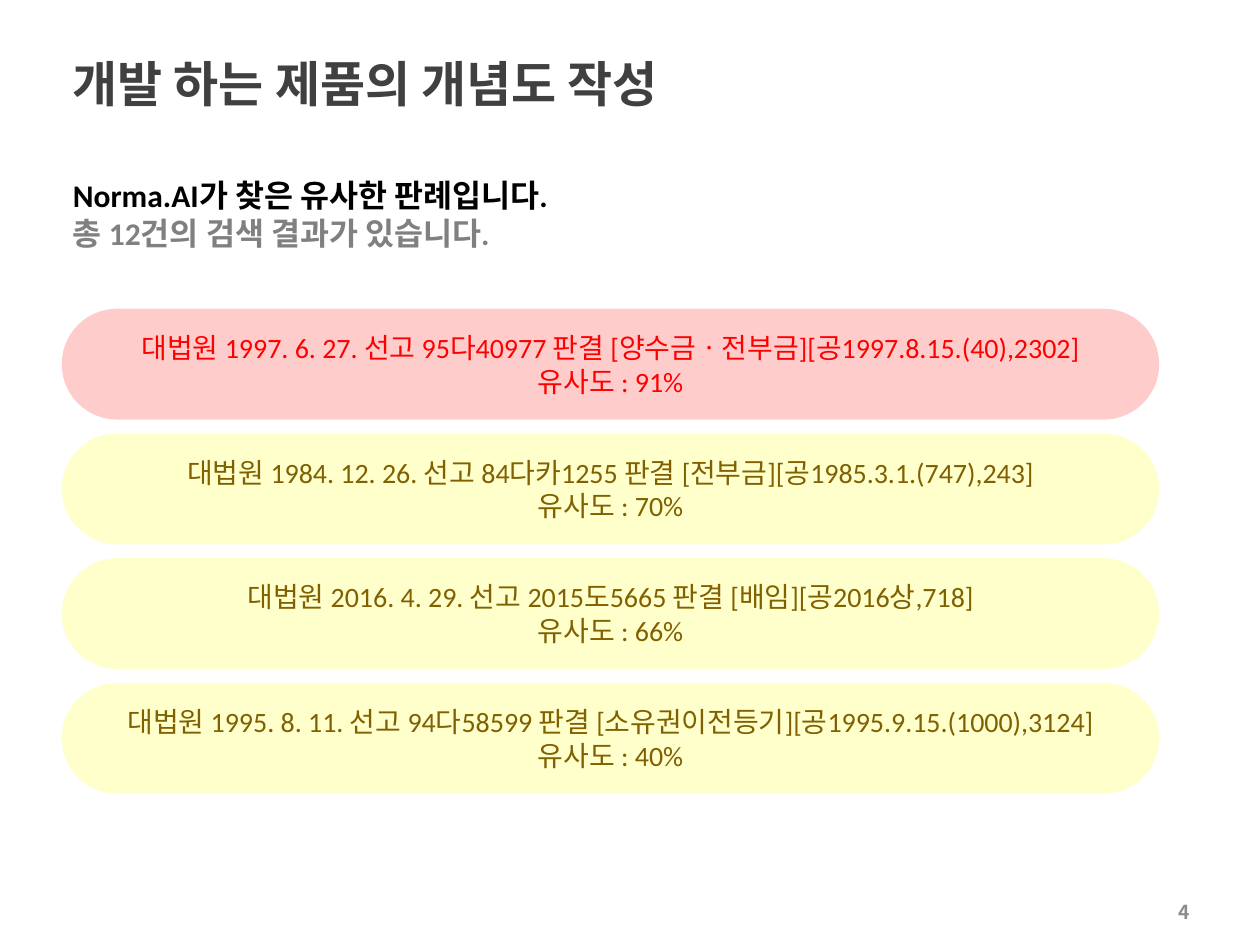
import pptx
import pptx.dml.color
import pptx.enum.shapes
import pptx.enum.text
import pptx.oxml.ns
import pptx.util
from lxml import etree

ALIGN = pptx.enum.text.PP_ALIGN
ANCHOR = pptx.enum.text.MSO_ANCHOR
HANGUL_FONT = "Noto Sans CJK KR"
LATIN_FONT = "Calibri"
COLUMNS, ROWS = 100, 75


def color(hex_value):
    return pptx.dml.color.RGBColor.from_string(hex_value)


class SlideBuilder:
    """Holds the style and the current slide; lengths are grid columns and rows."""

    def __init__(self, deck):
        self.column = deck.slide_width / COLUMNS
        self.row = deck.slide_height / ROWS
        self.slide = deck.slides.add_slide(deck.slide_layouts[6])

    def place(self, left, top, width, height):
        return (round(left * self.column), round(top * self.row),
                round(width * self.column), round(height * self.row))

    def fill_frame(self, frame, lines, frame_format, paragraph_format, **font_format):
        """Fill a text frame with (text, hex color) lines."""
        for name, value in frame_format.items():
            setattr(frame, name, value)
        for index, (text, hex_value) in enumerate(lines):
            paragraph = frame.add_paragraph() if index else frame.paragraphs[0]
            for name, value in paragraph_format.items():
                setattr(paragraph, name, value)
            run = paragraph.add_run()
            run.text = text
            for name, value in font_format.items():
                setattr(run.font, name, value)
            run.font.color.rgb = color(hex_value)
            # Hangul takes the East Asian font
            etree.SubElement(run.font._element, pptx.oxml.ns.qn("a:ea"),
                             typeface=HANGUL_FONT)

    def text(self, box, lines, frame_format, paragraph_format, **font_format):
        frame = self.slide.shapes.add_textbox(*self.place(*box)).text_frame
        self.fill_frame(frame, lines, {"word_wrap": True, **frame_format},
                        paragraph_format, **font_format)

    def pill(self, box, lines, fill, opacity):
        pill = self.slide.shapes.add_shape(
            pptx.enum.shapes.MSO_SHAPE.ROUNDED_RECTANGLE, *self.place(*box))
        pill.adjustments[0] = 0.5
        pill.shadow.inherit = False
        pill.line.fill.background()
        pill.fill.solid()
        pill.fill.fore_color.rgb = color(fill)
        tint = pill._element.spPr.find(".//" + pptx.oxml.ns.qn("a:srgbClr"))
        etree.SubElement(tint, pptx.oxml.ns.qn("a:alpha"), val=str(opacity * 1000))
        self.fill_frame(pill.text_frame, lines,
                        {"word_wrap": True, "vertical_anchor": ANCHOR.MIDDLE},
                        {"alignment": ALIGN.CENTER},
                        name=LATIN_FONT, size=pptx.util.Pt(16))


def main():
    deck = pptx.Presentation()
    deck.slide_width = pptx.util.Inches(10)
    deck.slide_height = pptx.util.Inches(7.5)
    builder = SlideBuilder(deck)

    # Page number and title
    builder.text((72.9, 71.2, 22.5, 2.3), [("4", "8C8C8C")],
                 {"vertical_anchor": ANCHOR.MIDDLE}, {"alignment": ALIGN.RIGHT},
                 name=HANGUL_FONT, size=pptx.util.Pt(11), bold=True)
    builder.text((4.8, 1.5, 90.6, 8), [("개발 하는 제품의 개념도 작성", "404040")],
                 {"vertical_anchor": ANCHOR.BOTTOM}, {"line_spacing": 0.9},
                 name=HANGUL_FONT, size=pptx.util.Pt(28), bold=True)

    # Search summary
    builder.text((4.8, 13.5, 40.2, 7.1),
                 [("Norma.AI가 찾은 유사한 판례입니다.", "000000"),
                  ("총 12건의 검색 결과가 있습니다.", "808080")],
                 {"word_wrap": False,
                  "auto_size": pptx.enum.text.MSO_AUTO_SIZE.SHAPE_TO_FIT_TEXT}, {},
                 name=LATIN_FONT, size=pptx.util.Pt(18), bold=True)

    # Precedents, most similar first; a close match is red
    precedents = [
        ("대법원 1997. 6. 27. 선고 95다40977 판결 [양수금ㆍ전부금][공1997.8.15.(40),2302]", 91),
        ("대법원 1984. 12. 26. 선고 84다카1255 판결 [전부금][공1985.3.1.(747),243]", 70),
        ("대법원 2016. 4. 29. 선고 2015도5665 판결 [배임][공2016상,718]", 66),
        ("대법원 1995. 8. 11. 선고 94다58599 판결 [소유권이전등기][공1995.9.15.(1000),3124]", 40),
    ]
    first_row, row_step = 24.5, 9.9
    for index, (citation, similarity) in enumerate(precedents):
        fill, ink = ("FF0000", "FF0000") if similarity > 90 else ("FFFF00", "806000")
        builder.pill((4.9, first_row + index * row_step, 87.1, 8.8),
                     [(citation, ink), (f"유사도 : {similarity}%", ink)],
                     fill, opacity=20)

    deck.save("out.pptx")


if __name__ == "__main__":
    main()
